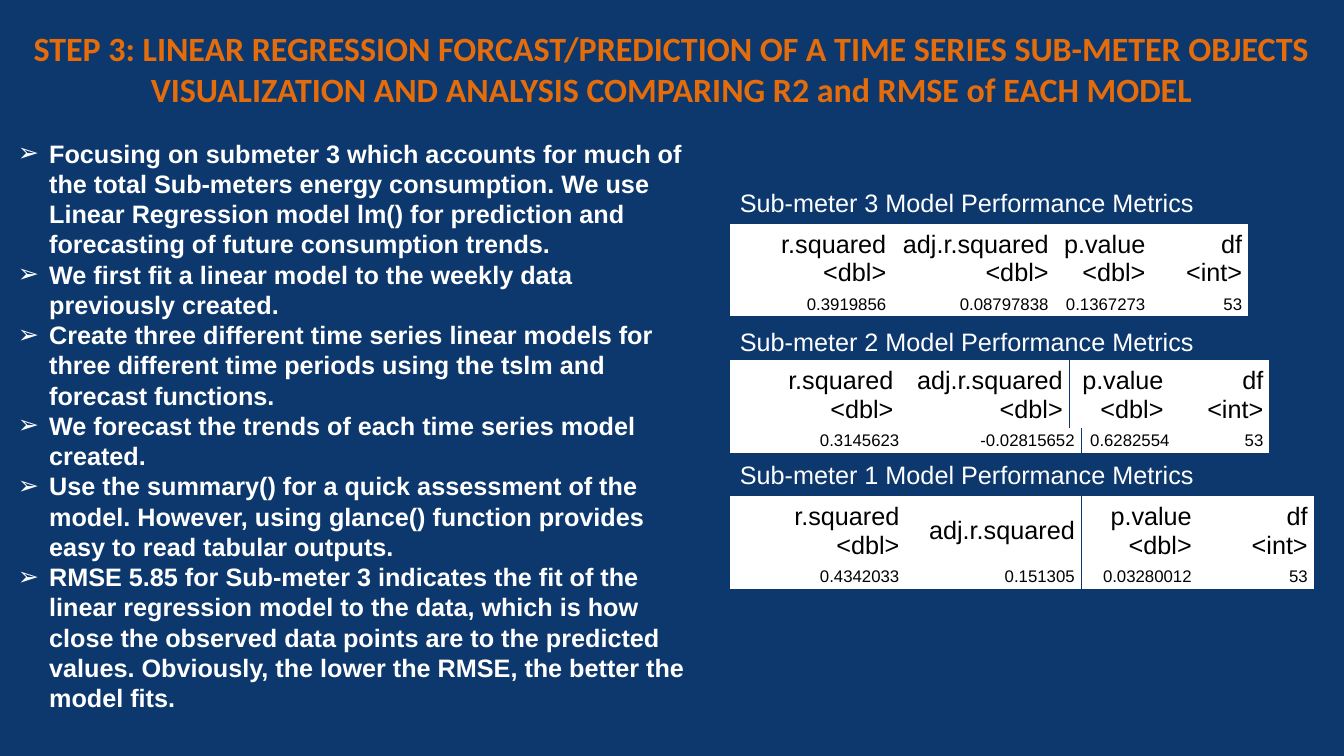
from dataclasses import dataclass

from lxml import etree
from pptx import Presentation, util as u
from pptx.dml.color import RGBColor
from pptx.enum import text
from pptx.oxml import ns


@dataclass(frozen=True)
class Theme:
    navy: str = "0D386E"
    orange: str = "E46C0A"
    white: str = "FFFFFF"
    black: str = "000000"
    heading_font: str = "Calibri"
    body_font: str = "Arial"
    title_size: float = 24.3
    body_size: float = 18
    value_size: float = 12


THEME = Theme()
TITLE = (
    "STEP 3: LINEAR REGRESSION FORCAST/PREDICTION OF A TIME SERIES SUB-METER OBJECTS\v"
    "VISUALIZATION AND ANALYSIS COMPARING R2 and RMSE of EACH MODEL"
)
POINTS = [
    "Focusing on submeter 3 which accounts for much of the total Sub-meters energy "
    "consumption. We use Linear Regression model lm() for prediction and forecasting "
    "of future consumption trends.",
    "We first fit a linear model to the weekly data previously created.",
    "Create three different time series linear models for three different time periods "
    "using the tslm and forecast functions.",
    "We forecast the trends of each time series model created.",
    "Use the summary() for a quick assessment of the model. However, using glance() "
    "function provides easy to read tabular outputs.",
    "RMSE 5.85 for Sub-meter 3 indicates the fit of the linear regression model to the "
    "data, which is how close the observed data points are to the predicted values. "
    "Obviously, the lower the RMSE, the better the model fits.",
]

METRICS_LEFT = 7.24
HEADER_HEIGHT, VALUE_HEIGHT = 0.68, 0.24
FIT_HEADERS = ["r.squared\n<dbl>", "adj.r.squared\n<dbl>"]
TEST_HEADERS = ["p.value\n<dbl>", "df\n<int>"]

# Each half row: left edge, column width, cell texts
MODELS = [
    dict(name="Sub-meter 3", label_top=1.81, top=2.22,
         headers=[(METRICS_LEFT, 1.61, FIT_HEADERS), (10.46, 0.96, TEST_HEADERS)],
         values=[(METRICS_LEFT, 1.61, ["0.3919856", "0.08797838"]),
                 (10.46, 0.96, ["0.1367273", "53"])]),
    dict(name="Sub-meter 2", label_top=3.19, top=3.57,
         headers=[(METRICS_LEFT, 1.68, FIT_HEADERS), (10.61, 0.99, TEST_HEADERS)],
         values=[(METRICS_LEFT, 1.74, ["0.3145623", "-0.02815652"]),
                 (10.73, 0.93, ["0.6282554", "53"])]),
    dict(name="Sub-meter 1", label_top=4.51, top=4.92,
         headers=[(METRICS_LEFT, 1.74, [FIT_HEADERS[0], "adj.r.squared"]),
                  (10.73, 1.15, TEST_HEADERS)],
         values=[(METRICS_LEFT, 1.74, ["0.4342033", "0.151305"]),
                 (10.73, 1.15, ["0.03280012", "53"])]),
]


def set_attributes(target, values):
    for name, value in values.items():
        setattr(target, name, value)


def format_text(tf, size, color, font=THEME.body_font, bold=False, align=None):
    for p in tf.paragraphs:
        p.alignment = align
        for r in p.runs:
            set_attributes(r.font, {"size": u.Pt(size), "name": font, "bold": bold})
            r.font.color.rgb = RGBColor.from_string(color)


def add_text(s, box, content, wrap=True, anchor=text.MSO_ANCHOR.TOP, **style):
    tf = s.shapes.add_textbox(*map(u.Inches, box)).text_frame
    set_attributes(tf, {"word_wrap": wrap, "vertical_anchor": anchor, "text": content})
    format_text(tf, **style)
    return tf


def add_bullets(tf):
    for p in tf.paragraphs:
        pPr = p._p.get_or_add_pPr()
        pPr.set("marL", str(u.Inches(0.31)))
        pPr.set("indent", str(-u.Inches(0.31)))
        etree.SubElement(pPr, ns.qn("a:buFont")).set("typeface", THEME.body_font)
        etree.SubElement(pPr, ns.qn("a:buChar")).set("char", "➢")


def clear_borders(cell):
    tcPr = cell._tc.get_or_add_tcPr()
    for index, side in enumerate(("lnL", "lnR", "lnT", "lnB")):
        line = etree.Element(ns.qn(f"a:{side}"))
        etree.SubElement(line, ns.qn("a:noFill"))
        tcPr.insert(index, line)


def add_row(s, left, top, column_width, height, contents, size, margins):
    """Add a one-row table with equal columns."""
    box = (left, top, column_width * len(contents), height)
    table = s.shapes.add_table(1, len(contents), *map(u.Inches, box)).table
    set_attributes(table, {"first_row": False, "horz_banding": False})
    for cell, content in zip(table.rows[0].cells, contents):
        set_attributes(cell, {
            "text": content, "vertical_anchor": text.MSO_ANCHOR.MIDDLE,
            "margin_left": u.Inches(0.06), "margin_right": u.Inches(0.06),
            "margin_top": u.Inches(margins[0]), "margin_bottom": u.Inches(margins[1]),
        })
        cell.fill.solid()
        cell.fill.fore_color.rgb = RGBColor.from_string(THEME.white)
        clear_borders(cell)
        format_text(cell.text_frame, size, THEME.black, align=text.PP_ALIGN.RIGHT)


def add_model(s, model):
    add_text(s, (METRICS_LEFT, model["label_top"], 4.75, 0.4),
             f"{model['name']} Model Performance Metrics", wrap=False,
             size=THEME.body_size, color=THEME.white)
    for left, width, contents in model["headers"]:
        add_row(s, left, model["top"], width, HEADER_HEIGHT, contents,
                THEME.body_size, (0.05, 0.03))
    for left, width, contents in model["values"]:
        add_row(s, left, model["top"] + HEADER_HEIGHT, width, VALUE_HEIGHT, contents,
                THEME.value_size, (0.02, 0.02))


def main():
    prs = Presentation()
    set_attributes(prs, {"slide_width": u.Inches(13.33), "slide_height": u.Inches(7.5)})
    s = prs.slides.add_slide(prs.slide_layouts[6])
    s.background.fill.solid()
    s.background.fill.fore_color.rgb = RGBColor.from_string(THEME.navy)

    # Title
    add_text(s, (0.18, 0.14, 12.96, 1.08), TITLE, anchor=text.MSO_ANCHOR.MIDDLE,
             size=THEME.title_size, color=THEME.orange, font=THEME.heading_font,
             bold=True, align=text.PP_ALIGN.CENTER)

    # Analysis steps
    add_bullets(add_text(s, (0.08, 1.32, 6.94, 5.86), "\n".join(POINTS),
                         size=THEME.body_size, color=THEME.white, bold=True))

    # Model metrics
    for model in MODELS:
        add_model(s, model)

    prs.save("out.pptx")


if __name__ == "__main__":
    main()
